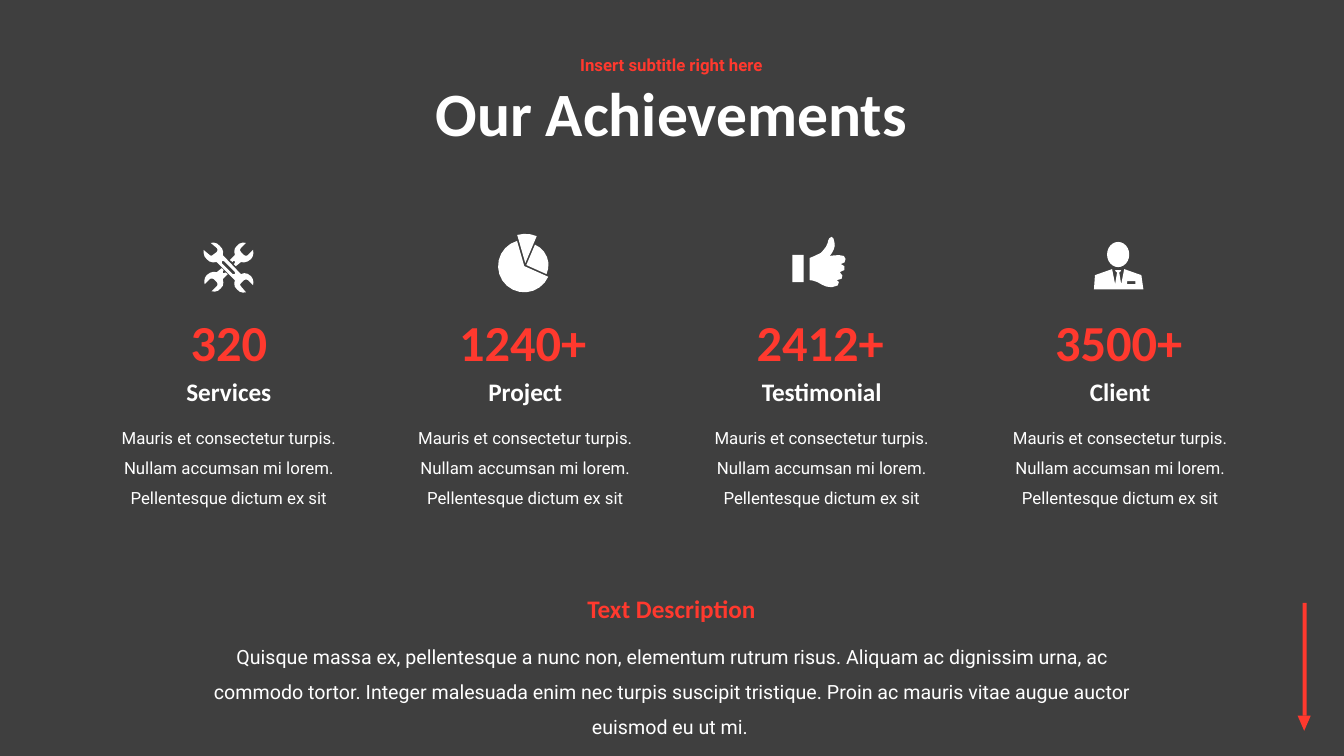
import math
from lxml import etree
from pptx import Presentation
from pptx.dml.color import RGBColor
from pptx.enum.shapes import MSO_SHAPE
from pptx.enum.text import MSO_ANCHOR, MSO_AUTO_SIZE, PP_ALIGN
from pptx.oxml.ns import qn
from pptx.util import Inches, Pt

RECT, OVAL = MSO_SHAPE.RECTANGLE, MSO_SHAPE.OVAL
PEAK = MSO_SHAPE.ISOSCELES_TRIANGLE
MIDDLE, CENTER = MSO_ANCHOR.MIDDLE, PP_ALIGN.CENTER
GROW, FIXED = MSO_AUTO_SIZE.SHAPE_TO_FIT_TEXT, MSO_AUTO_SIZE.NONE

COLORS = {"back": "3F3F3F", "red": "FF392E", "white": "FFFFFF"}
STYLES = {
    "title": dict(name="Calibri", size=44, bold=True, color="white", spacing=0.9),
    "sub": dict(name="Roboto", size=12, bold=True, color="red", spacing=0.9),
    "count": dict(name="Calibri", size=36, bold=True, color="red", spacing=None),
    "label": dict(name="Calibri", size=18, bold=True, color="white", spacing=None),
    "head": dict(name="Calibri", size=18, bold=True, color="red", spacing=None),
    "note": dict(name="Roboto", size=12, bold=False, color="white", spacing=1.5),
    "text": dict(name="Roboto", size=14, bold=False, color="white", spacing=1.5),
}

# Icon outlines in hundredths of an inch: pairs are corners, sixes are Bezier curves.
WRENCH = [
    (47, 34), (44, 31, 40, 30, 37, 32), (19, 13), (20, 10, 19, 6, 16, 4),
    (14, 1, 10, 0, 7, 1), (13, 6), (14, 7, 14, 9, 13, 10), (9, 13),
    (8, 14, 7, 14, 6, 13), (0, 8), (0, 11, 0, 15, 3, 17), (5, 20, 9, 21, 13, 20),
    (31, 38), (30, 41, 30, 45, 33, 47), (35, 50, 39, 51, 42, 50), (37, 44),
    (36, 43, 36, 42, 37, 41), (40, 38), (41, 37, 43, 37, 44, 38), (49, 43),
    (50, 40, 49, 36, 47, 34)]
SLOT = [(31, 32), (29, 32), (18, 21), (18, 19), (20, 19), (31, 30)]
HALF = [
    (29, 20), (29, 19), (31, 19), (31, 21), (30, 22), (32, 24), (37, 20),
    (40, 21, 44, 20, 47, 17), (49, 15, 50, 11, 49, 8), (44, 13),
    (43, 14, 41, 14, 40, 13), (37, 10), (36, 9, 36, 7, 37, 6), (42, 1),
    (39, 0, 35, 1, 33, 4), (30, 6, 30, 10, 31, 13), (26, 18)]
THUMB = [
    (51, 19), (48, 17, 37, 19, 37, 19), (39, 17, 42, 11, 42, 9),
    (42, 6, 41, 0, 39, 0), (36, 0, 35, 5, 35, 6), (34, 10, 30, 14, 28, 16),
    (24, 18, 22, 19, 17, 21), (17, 43), (20, 43, 22, 44, 25, 45),
    (30, 48, 33, 50, 39, 50), (48, 50, 47, 43, 44, 43), (51, 43, 51, 38, 47, 35),
    (54, 35, 53, 27, 48, 27), (53, 27, 54, 21, 51, 19)]
SUIT = [
    (47, 33), (30, 27), (27, 42), (25, 30), (26, 30), (27, 28), (21, 28),
    (22, 30), (23, 30), (21, 42), (18, 27), (1, 33), (0, 47), (49, 47)]
POCKET = [(41, 42), (33, 42), (33, 39), (41, 39)]
# Pie slices: centre, radius, first and last angle.
SLICES = [(28, 31, 22, -67, 24), (26, 32, 26, 24, 254), (27, 29, 29, 254, 293)]


def color(key):
    return RGBColor.from_string(COLORS[key])


def write(shape, words, style, fit=GROW):
    frame = shape.text_frame
    frame.word_wrap, frame.auto_size = True, fit
    frame.text = words
    para = frame.paragraphs[0]
    form = dict(STYLES[style])
    para.alignment, para.line_spacing = CENTER, form.pop("spacing")
    para.space_before = Pt(0)
    font = para.runs[0].font
    font.color.rgb = color(form.pop("color"))
    form["size"] = Pt(form["size"])
    for key, value in form.items():
        setattr(font, key, value)


def label(slide, box, words, style):
    write(slide.shapes.add_textbox(*map(Inches, box)), words, style)


def paint(shape, key):
    shape.shadow.inherit = False
    shape.fill.solid()
    shape.fill.fore_color.rgb = color(key)
    shape.line.fill.background()


def block(slide, kind, box, key="white"):
    shape = slide.shapes.add_shape(kind, *map(Inches, box))
    paint(shape, key)
    return shape


def trace(path, steps=3):
    """Turn corners and Bezier curves into a list of points."""
    dots = [path[0]]
    for part in path[1:]:
        if len(part) == 2:
            dots.append(part)
            continue
        ends = [dots[-1], part[:2], part[2:4], part[4:]]
        for i in range(1, steps + 1):
            t = i / steps
            mix = [(1 - t) ** 3, 3 * t * (1 - t) ** 2, 3 * t * t * (1 - t), t ** 3]
            dots.append(tuple(sum(m * p[k] for m, p in zip(mix, ends)) for k in (0, 1)))
    return dots


def outline(slide, left, top, *paths):
    """Draw closed paths as one white shape; inner paths become holes."""
    pen = None
    for path in paths:
        dots = [(x * 100, y * 100) for x, y in trace(path)]
        if pen is None:
            pen = slide.shapes.build_freeform(*dots[0], scale=Inches(1) / 10000)
        else:
            pen.move_to(*dots[0])
        pen.add_line_segments(dots[1:], close=True)
    paint(pen.convert_to_shape(Inches(left), Inches(top)), "white")


def tools(slide, left, top):
    outline(slide, left, top, HALF)
    outline(slide, left, top, [tuple(50 - v for v in part) for part in HALF])
    outline(slide, left, top, WRENCH, SLOT)


def pie(slide, left, top):
    for x, y, size, first, last in SLICES:
        count = math.ceil((last - first) / 16)
        turns = [math.radians(first + (last - first) * i / count)
                 for i in range(count + 1)]
        rim = [(x + size * math.cos(a), y + size * math.sin(a)) for a in turns]
        outline(slide, left, top - 0.08, [(x, y)] + rim)


def thumb(slide, left, top):
    outline(slide, left, top - 0.05, THUMB)
    block(slide, RECT, (left, top + 0.13, 0.11, 0.27))


def person(slide, left, top):
    outline(slide, left, top, SUIT, POCKET)
    block(slide, OVAL, (left + 0.13, top, 0.22, 0.25))


def header(slide, left, top, width):
    sub = slide.placeholders[1]
    for shape, words, style, drop, high in (
            (slide.shapes.title, "Our Achievements", "title", 0.17, 1.03),
            (sub, "Insert subtitle right here", "sub", 0, 0.38)):
        shape.left, shape.top = Inches(left), Inches(top + drop)
        shape.width, shape.height = Inches(width), Inches(high)
        write(shape, words, style, FIXED)
        shape.text_frame.vertical_anchor = MIDDLE


def band(slide, box):
    """Lay a see-through panel behind the columns."""
    fill = block(slide, RECT, box, "back").fill
    tint = fill._xPr.find(qn("a:solidFill"))[0]
    etree.SubElement(tint, qn("a:alpha"), val="85000")


def column(slide, left, top, width, item):
    icon, shift, count, start, wide, name, span = item
    icon(slide, left + shift, top)
    label(slide, (left + (width - span) / 2, top + 1.28, span, 0.4), name, "label")
    label(slide, (left + start, top + 0.64, wide, 0.71), count, "count")
    label(slide, (left, top + 1.69, width, 0.98),
          "Mauris et consectetur turpis. Nullam accumsan mi lorem. "
          "Pellentesque dictum ex sit", "note")


def footer(slide, left, top, width):
    label(slide, (left, top + 0.39, width, 0.77),
          "Quisque massa ex, pellentesque a nunc non, elementum rutrum risus. "
          "Aliquam ac dignissim urna, ac commodo tortor. Integer malesuada enim nec "
          "turpis suscipit tristique. Proin ac mauris vitae augue auctor euismod eu "
          "ut mi. ", "text")
    label(slide, (left + width / 2 - 1.47, top, 2.92, 0.4), "Text Description", "head")


def arrow(slide, left, top):
    block(slide, RECT, (left + 0.05, top, 0.04, 1.12), "red")
    block(slide, PEAK, (left, top + 1.12, 0.13, 0.15), "red").rotation = 180


def main():
    deck = Presentation()
    deck.slide_width, deck.slide_height = Inches(13.33), Inches(7.5)
    slide = deck.slides.add_slide(deck.slide_layouts[0])
    slide.background.fill.solid()
    slide.background.fill.fore_color.rgb = color("back")
    arrow(slide, 12.87, 5.98)
    band(slide, (0, 1.94, 13.33, 3.49))
    header(slide, 2.91, 0.47, 7.5)
    items = [(0.96, tools, 1.06, "320", 0.3, 2.02, "Services", 1.86),
             (3.9, pie, 1.04, "1240+", 0.11, 2.35, "Project", 1.86),
             (6.84, thumb, 1.02, "2412+", 0.12, 2.35, "Testimonial", 2.44),
             (9.8, person, 1.05, "3500+", 0.12, 2.35, "Client", 1.86)]
    for left, *item in items:
        column(slide, left, 2.4, 2.62, item)
    footer(slide, 1.92, 5.84, 9.5)
    deck.save("out.pptx")


if __name__ == "__main__":
    main()
